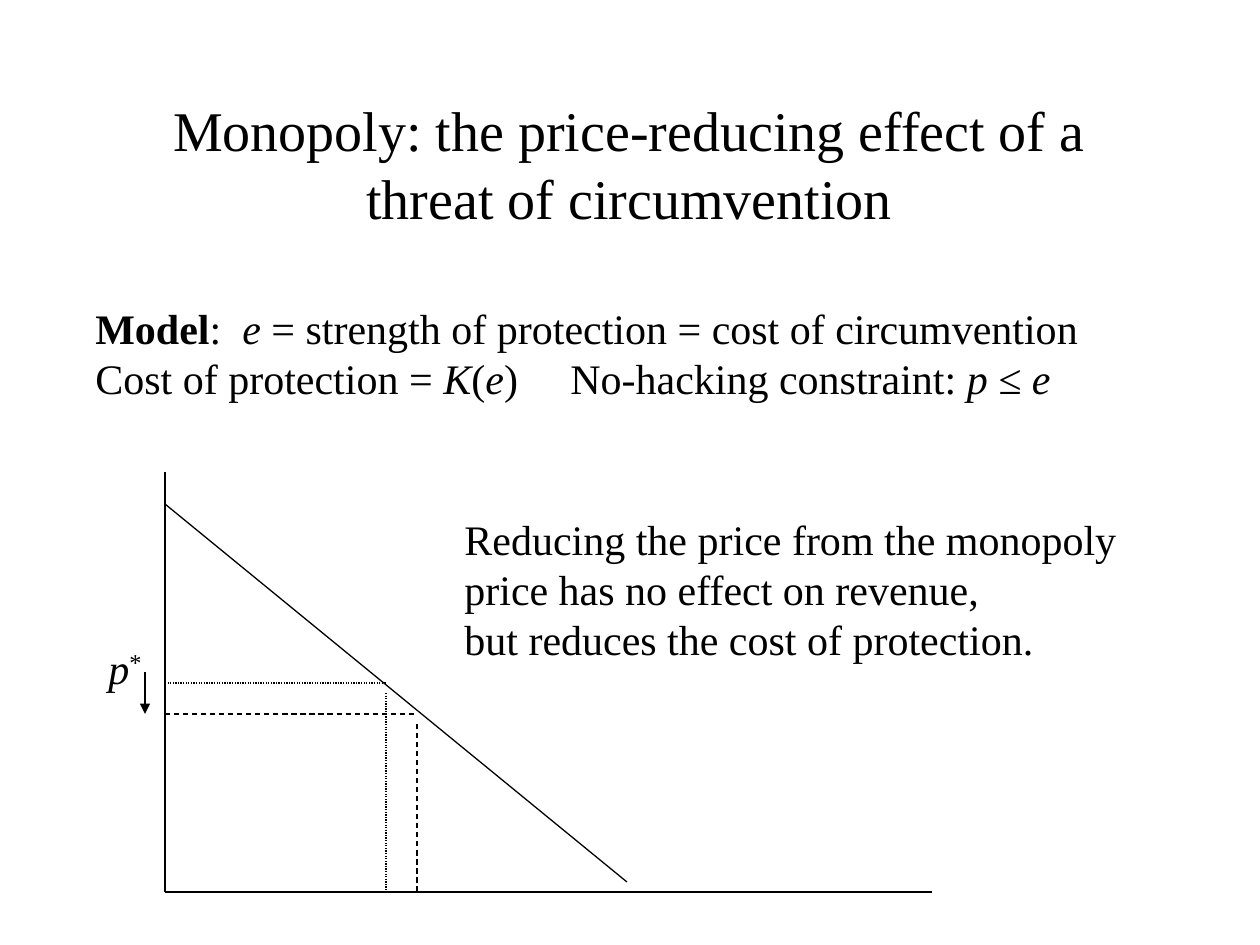
from lxml.etree import SubElement
from pptx import Presentation
from pptx.dml.color import RGBColor
from pptx.enum.dml import MSO_LINE_DASH_STYLE as Dash
from pptx.enum.shapes import MSO_CONNECTOR as Connector
from pptx.enum.text import MSO_ANCHOR as Anchor, PP_ALIGN as Align
from pptx.oxml.ns import qn
from pptx.util import Emu, Pt

PX = 914400 / 126
BLACK = RGBColor(0, 0, 0)
FONT = "Times New Roman"

# Diagram geometry in px
AXIS_X, AXIS_Y = 165, 892
MONOPOLY_X, MONOPOLY_Y = 386, 683
REDUCED_X, REDUCED_Y = 417, 714


def px(length):
    return Emu(round(length * PX))


def add_line(page, start, end, dash=None, arrow=False):
    line = page.shapes.add_connector(Connector.STRAIGHT, *map(px, start + end))
    line.line.color.rgb = BLACK
    line.line.width = Pt(0.75)
    if dash:
        line.line.dash_style = dash
    if arrow:
        SubElement(line.line._get_or_add_ln(), qn("a:tailEnd"), type="triangle")
    SubElement(line._element.spPr, qn("a:effectLst"))


def add_tab(para, position):
    tabs = SubElement(para._p.get_or_add_pPr(), qn("a:tabLst"))
    SubElement(tabs, qn("a:tab"), pos=str(px(position)), algn="l")


def add_text(page, place, paragraphs, size=24, align=Align.LEFT,
             anchor=Anchor.TOP, wrap=False, tabs=()):
    """Each paragraph is a list of (text, style) pairs; style holds b, i or ^."""
    box = page.shapes.add_textbox(*map(px, place))
    frame = box.text_frame
    frame.word_wrap = wrap
    frame.vertical_anchor = anchor
    for index, spans in enumerate(paragraphs):
        para = frame.add_paragraph() if index else frame.paragraphs[0]
        para.alignment = align
        if tabs:
            add_tab(para, tabs[index])
        para.font.name = FONT
        para.font.size = Pt(size)
        para.font.color.rgb = BLACK
        for text, style in spans:
            span = para.add_run()
            span.text = text
            if "b" in style:
                span.font.bold = True
            if "i" in style:
                span.font.italic = True
            if "^" in style:
                span._r.get_or_add_rPr().set("baseline", "30000")


def add_diagram(page):
    # Axes and demand curve
    add_line(page, (AXIS_X, 472), (AXIS_X, AXIS_Y))
    add_line(page, (AXIS_X, AXIS_Y), (932, AXIS_Y))
    add_line(page, (AXIS_X, 504), (627, 882))
    # Price and quantity guides
    for x, y, top, dash in (
        (MONOPOLY_X, MONOPOLY_Y, 693, Dash.ROUND_DOT),
        (REDUCED_X, REDUCED_Y, 724, Dash.DASH),
    ):
        add_line(page, (AXIS_X, y), (x, y), dash)
        add_line(page, (x, top), (x, AXIS_Y), dash)
    # Monopoly price and its fall
    add_text(page, (96, 636, 58, 63), [[("p", "i"), ("*", "^")]],
             align=Align.CENTER)
    add_line(page, (145, 672), (145, REDUCED_Y), arrow=True)


def main():
    deck = Presentation()
    deck.slide_width, deck.slide_height = px(1260), px(945)
    page = deck.slides.add_slide(deck.slide_layouts[6])

    # Title
    add_text(page, (94, 84, 1071, 158),
             [[("Monopoly: the price-reducing effect of a threat of circumvention", "")]],
             size=32, align=Align.CENTER, anchor=Anchor.MIDDLE, wrap=True)

    add_diagram(page)

    # Conclusion
    add_text(page, (452, 507, 688, 164), [
        [("Reducing the price from the monopoly", "")],
        [("price has no effect on revenue,", "")],
        [("but reduces the cost of protection.", "")],
    ])

    # Model
    add_text(page, (83, 296, 1008, 113), [
        [("Model", "b"), (":\t", ""), ("e", "i"),
         (" = strength of protection = cost of circumvention", "")],
        [("Cost of protection = ", ""), ("K", "i"), ("(", ""), ("e", "i"),
         (")\tNo-hacking constraint: ", ""), ("p ≤ e", "i")],
    ], tabs=(147, 475))

    deck.save("out.pptx")


if __name__ == "__main__":
    main()
